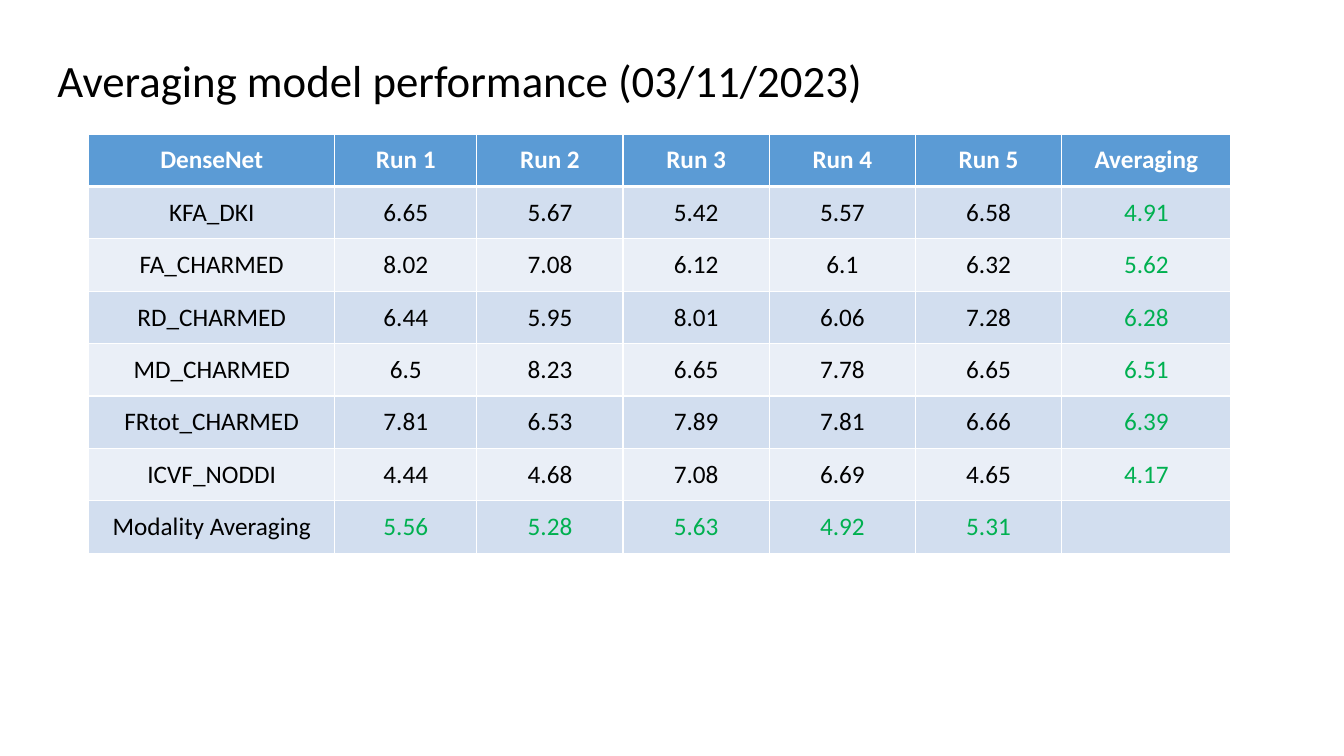
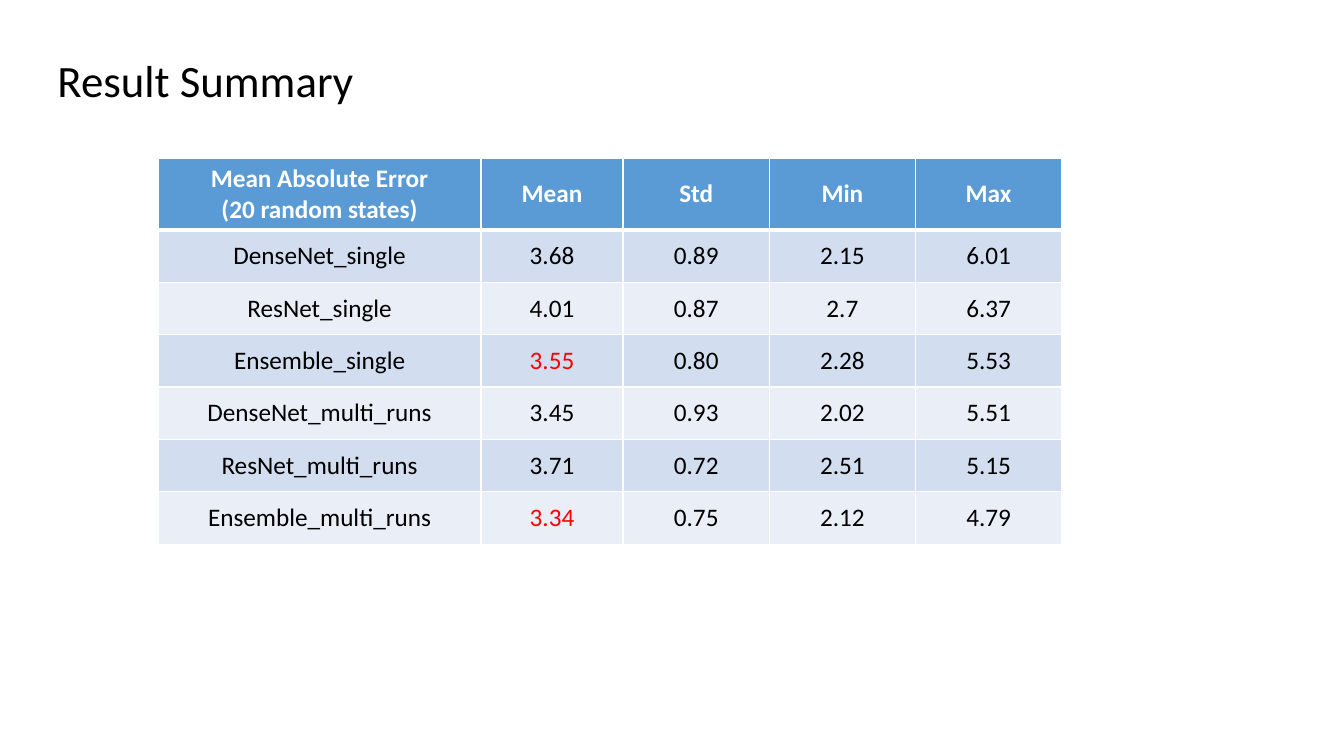
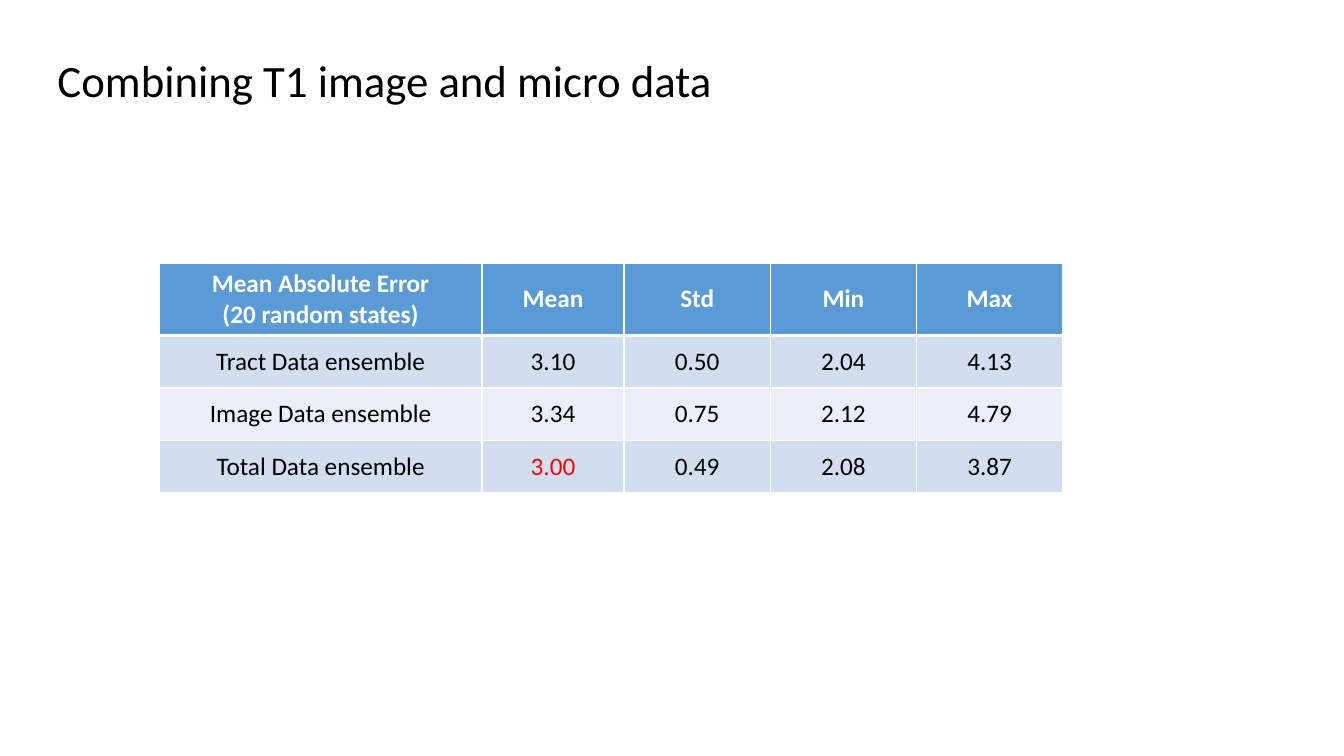
from lxml import etree
from pptx import Presentation
from pptx.dml.color import RGBColor
from pptx.enum.text import MSO_ANCHOR, MSO_AUTO_SIZE, PP_ALIGN
from pptx.oxml.ns import qn
from pptx.util import Inches, Pt

MIDDLE, TOP = MSO_ANCHOR.MIDDLE, MSO_ANCHOR.TOP
CENTER, LEFT = PP_ALIGN.CENTER, PP_ALIGN.LEFT
NO_FIT = MSO_AUTO_SIZE.NONE

# Shared look
COLORS = {
    "text": "000000",
    "header": "5B9BD5",
    "header_text": "FFFFFF",
    "band_dark": "D2DEEF",
    "band_light": "EAEFF7",
    "rule": "FFFFFF",
    "average": "00B050",
    "best": "FF0000",
}
FONT = "Calibri"
TITLE_BOX = (0.47, 0.47, 9.45, 0.64)
ROW_HEIGHT = 0.52
FIRST_VALUE_WIDTH, VALUE_WIDTH = 1.41, 1.45
THIN_RULE, HEADER_RULE = 1, 3

# Table content
RUN_ROWS = [
    ["DenseNet", "Run 1", "Run 2", "Run 3", "Run 4", "Run 5", "Averaging"],
    ["KFA_DKI", "6.65", "5.67", "5.42", "5.57", "6.58", "4.91"],
    ["FA_CHARMED", "8.02", "7.08", "6.12", "6.1", "6.32", "5.62"],
    ["RD_CHARMED", "6.44", "5.95", "8.01", "6.06", "7.28", "6.28"],
    ["MD_CHARMED", "6.5", "8.23", "6.65", "7.78", "6.65", "6.51"],
    ["FRtot_CHARMED", "7.81", "6.53", "7.89", "7.81", "6.66", "6.39"],
    ["ICVF_NODDI", "4.44", "4.68", "7.08", "6.69", "4.65", "4.17"],
    ["Modality Averaging", "5.56", "5.28", "5.63", "4.92", "5.31", ""],
]
ERROR_HEADER = ["Mean Absolute Error\n(20 random states)", "Mean", "Std", "Min", "Max"]
MODEL_ROWS = [
    ERROR_HEADER,
    ["DenseNet_single", "3.68", "0.89", "2.15", "6.01"],
    ["ResNet_single", "4.01", "0.87", "2.7", "6.37"],
    ["Ensemble_single", "3.55", "0.80", "2.28", "5.53"],
    ["DenseNet_multi_runs", "3.45", "0.93", "2.02", "5.51"],
    ["ResNet_multi_runs", "3.71", "0.72", "2.51", "5.15"],
    ["Ensemble_multi_runs", "3.34", "0.75", "2.12", "4.79"],
]
DATA_ROWS = [
    ERROR_HEADER,
    ["Tract Data ensemble", "3.10", "0.50", "2.04", "4.13"],
    ["Image Data ensemble", "3.34", "0.75", "2.12", "4.79"],
    ["Total Data ensemble", "3.00", "0.49", "2.08", "3.87"],
]


def rgb(name):
    return RGBColor.from_string(COLORS[name])


def style_paragraph(paragraph, size, color, align, bold=False):
    paragraph.alignment = align
    font = paragraph.font
    font.name, font.size, font.bold = FONT, Pt(size), bold
    font.color.rgb = rgb(color)


def add_titled_slide(deck, text):
    """Add a title-only slide with the shared title style."""
    slide = deck.slides.add_slide(deck.slide_layouts[5])
    title = slide.shapes.title
    title.left, title.top, title.width, title.height = map(Inches, TITLE_BOX)
    frame = title.text_frame
    frame.text = text
    frame.auto_size, frame.vertical_anchor, frame.word_wrap = NO_FIT, TOP, True
    style_paragraph(frame.paragraphs[0], 32, "text", LEFT)
    return slide


def set_borders(cell, top, bottom):
    """Rule all four sides; the lines stand before the fill in the cell's XML."""
    widths = {"a:lnL": THIN_RULE, "a:lnR": THIN_RULE, "a:lnT": top, "a:lnB": bottom}
    properties = cell._tc.get_or_add_tcPr()
    for position, (side, width) in enumerate(widths.items()):
        line = etree.Element(qn(side), w=str(Pt(width)))
        fill = etree.SubElement(line, qn("a:solidFill"))
        etree.SubElement(fill, qn("a:srgbClr"), val=COLORS["rule"])
        properties.insert(position, line)


def fill_cell(cell, text, row, color):
    is_header = row == 0
    band = "header" if is_header else "band_dark" if row % 2 else "band_light"
    cell.text = text
    cell.vertical_anchor = MIDDLE
    cell.fill.solid()
    cell.fill.fore_color.rgb = rgb(band)
    set_borders(cell,
                top=HEADER_RULE if row == 1 else THIN_RULE,
                bottom=HEADER_RULE if is_header else THIN_RULE)
    for paragraph in cell.text_frame.paragraphs:
        style_paragraph(paragraph, 18, "header_text" if is_header else color,
                        CENTER, bold=is_header)


def add_result_table(slide, left, top, rows, label_width, accent, accented,
                     header_height=ROW_HEIGHT, last_width=VALUE_WIDTH):
    """Add a banded table; accented holds the (row, column) cells in accent."""
    middle_count = len(rows[0]) - 3
    widths = [label_width, FIRST_VALUE_WIDTH, *[VALUE_WIDTH] * middle_count, last_width]
    heights = [header_height, *[ROW_HEIGHT] * (len(rows) - 1)]
    table = slide.shapes.add_table(
        len(rows), len(widths), Inches(left), Inches(top),
        Inches(sum(widths)), Inches(sum(heights))).table
    for column, width in zip(table.columns, widths):
        column.width = Inches(width)
    for table_row, height in zip(table.rows, heights):
        table_row.height = Inches(height)
    for r, values in enumerate(rows):
        for c, value in enumerate(values):
            color = accent if (r, c) in accented else "text"
            fill_cell(table.cell(r, c), value, r, color)


def main():
    deck = Presentation()
    deck.slide_width, deck.slide_height = Inches(13.33), Inches(7.5)

    # Averages over runs (last column) and over modalities (last row)
    slide = add_titled_slide(deck, "Averaging model performance (03/11/2023)")
    last_row, last_column = len(RUN_ROWS) - 1, len(RUN_ROWS[0]) - 1
    averages = {(r, last_column) for r in range(1, last_row)}
    averages |= {(last_row, c) for c in range(1, last_column)}
    add_result_table(slide, 0.88, 1.33, RUN_ROWS, 2.44, "average", averages,
                     last_width=1.68)

    # Single and multiple runs, ensembles marked
    slide = add_titled_slide(deck, "Result Summary")
    add_result_table(slide, 1.57, 1.57, MODEL_ROWS, 3.2, "best", {(3, 1), (6, 1)},
                     header_height=0.7)

    # Tract, image and total data
    slide = add_titled_slide(deck, "Combining T1 image and micro data")
    add_result_table(slide, 1.58, 2.61, DATA_ROWS, 3.2, "best", {(3, 1)},
                     header_height=0.72)

    deck.save("out.pptx")


if __name__ == "__main__":
    main()
